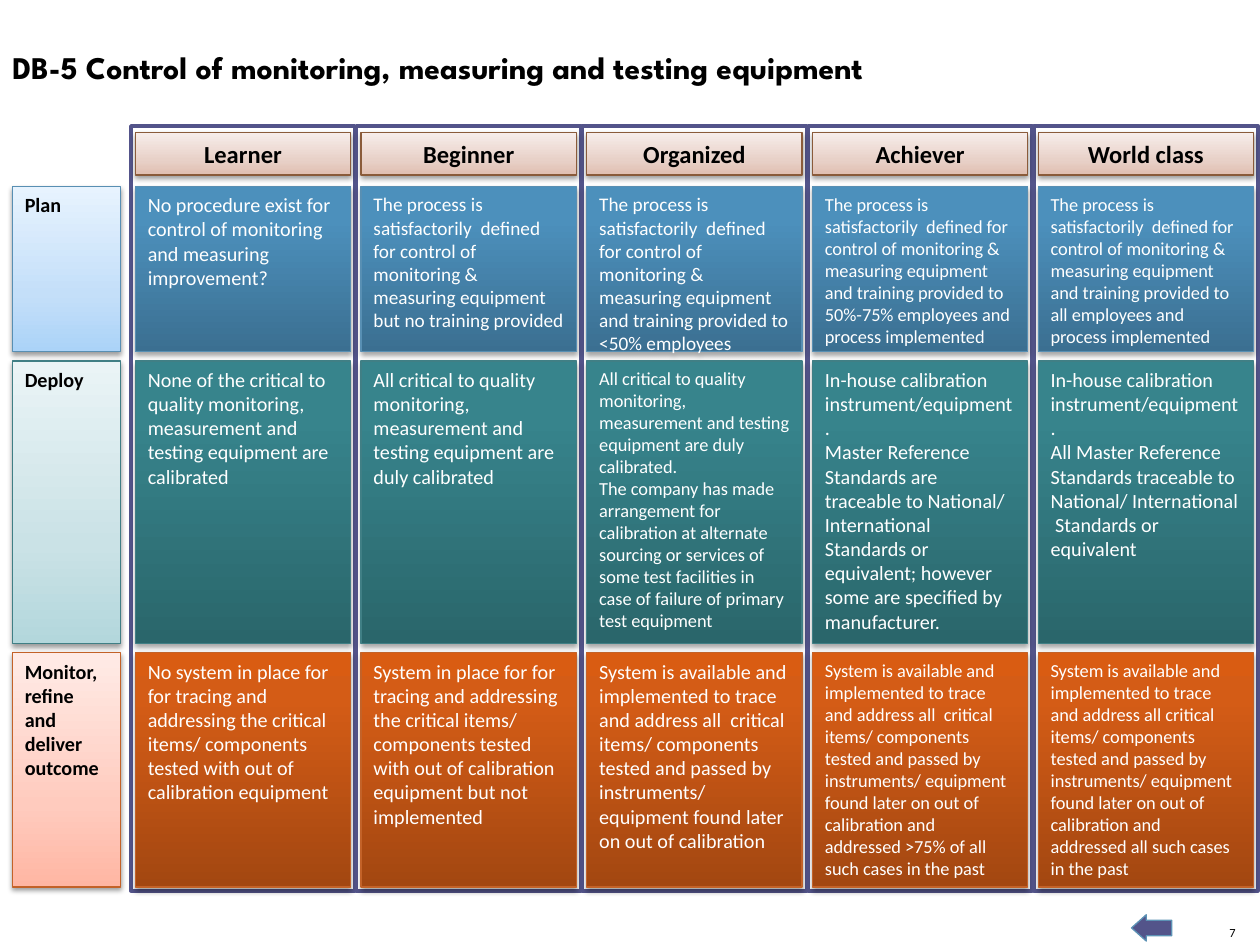
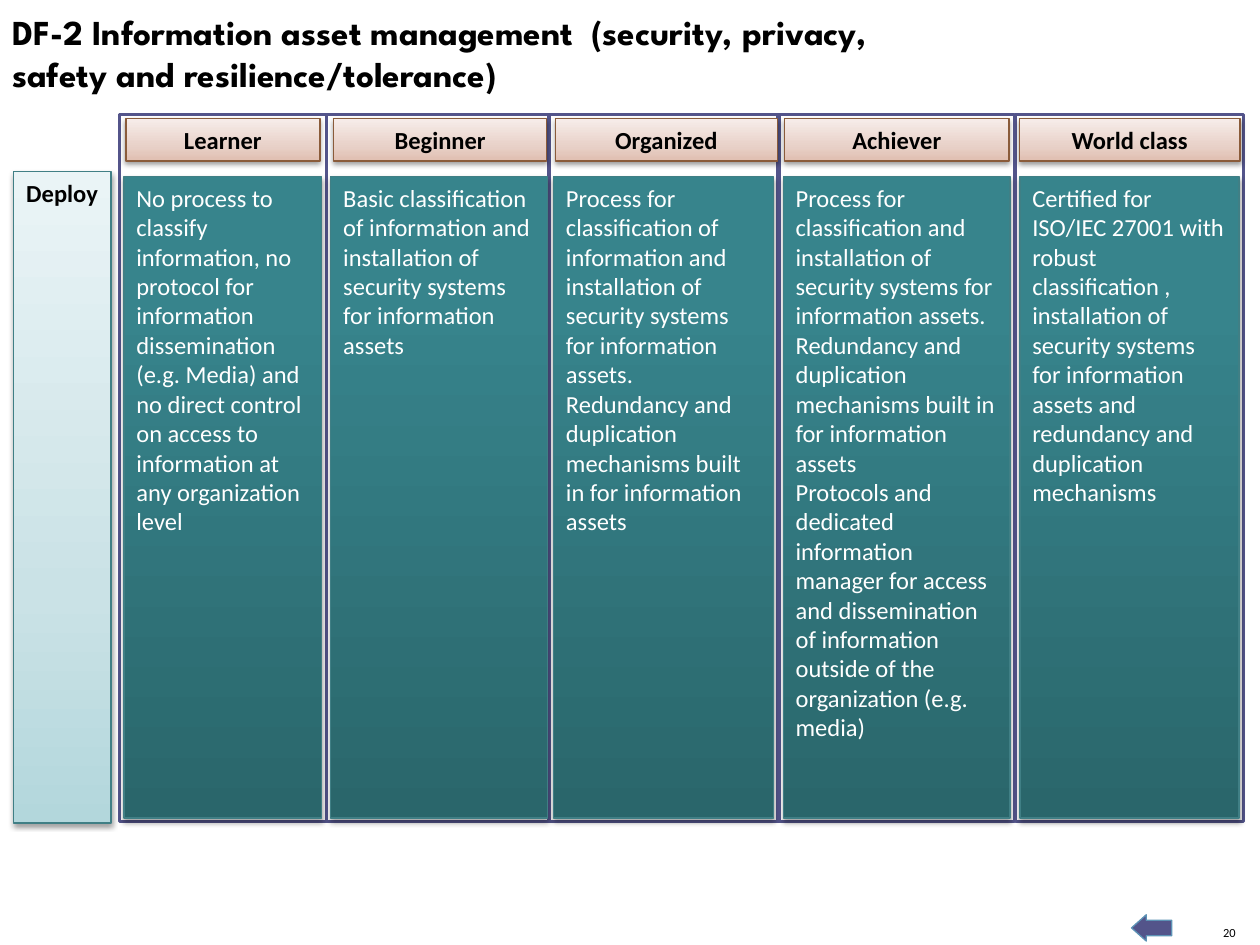
from copy import deepcopy
from dataclasses import dataclass

from lxml import etree
from pptx import Presentation
from pptx import util as u
from pptx.dml.color import RGBColor
from pptx.enum import shapes, text
from pptx.oxml.ns import qn


@dataclass(frozen=True)
class Theme:
    body_font: str = "Calibri"
    title_font: str = "League Spartan"
    dark_text: str = "000000"
    light_text: str = "FFFFFF"
    frame_fill: str = "FFFFFF"
    accent: str = "53548A"
    arrow_line: str = "5C92B5"
    header_size: float = 14
    number_size: float = 7.1
    # Gradients run from bottom to top
    header: tuple = ("E0BEB0", "E8D1C8", "F7EDEA")
    header_line: str = "8A5B3A"
    pale_stops: tuple = (0, 0.35, 1)
    deep_stops: tuple = (0, 0.8, 1)


theme = Theme()

# Stage name: pale gradient, deep gradient, outline
STAGES = {
    "Plan": (("ABD3F8", "C4DFF9", "E7F3FE"), ("3B6F91", "4C90BC", "4A91BF"), "588FB3"),
    "Deploy": (("B3D7DC", "CAE2E6", "EAF4F6"), ("2A666B", "37848C", "36868E"), "407F85"),
    "Monitor, refine and deliver outcome": (
        ("FFB6A3", "FFCBBE", "FFEBE6"), ("A34711", "D45C16", "D95C12"), "C36228"),
}
LEVELS = ["Learner", "Beginner", "Organized", "Achiever", "World class"]

DEFINED = "The process is satisfactorily  defined for control of monitoring & measuring equipment"
CALIBRATED = ("All critical to quality monitoring, measurement and testing equipment "
              "are duly calibrated")
IN_HOUSE = "In-house calibration instrument/equipment.\n"
TRACED = ("System is available and implemented to trace and address all {}critical items/ "
          "components tested and passed by instruments/ equipment found later on out of calibration")
REDUNDANCY = ("security systems for information assets. Redundancy and duplication "
              "mechanisms built in for information assets")

PITCH, FRAME_WIDTH = 4.55, 4.52
even_frames = [(2.64 + PITCH * index, FRAME_WIDTH) for index in range(len(LEVELS))]
CARD_INSET = 0.09

# Rows hold: stage, top, height, then (type size, text) for each level
SLIDES = [
    dict(
        number="7",
        title="DB-5 Control of monitoring, measuring and testing equipment",
        title_box=(0, 0.84, 21.84, 1.02), title_size=18,
        frames=even_frames, frame_top=2.54, frame_height=15.42,
        headers=[(left + CARD_INSET, width - 2 * CARD_INSET) for left, width in even_frames],
        header_top=2.67, label_left=0.25, label_width=2.18, label_offset=0, label_size=11.5,
        rows=[
            ("Plan", 3.76, 3.33, [
                (11.5, "No procedure exist for control of monitoring and measuring improvement?"),
                (11, DEFINED + " but no training provided"),
                (11, DEFINED + " and training provided to <50% employees"),
                (10.5, DEFINED + " and training provided to 50%-75% employees and process implemented"),
                (10.5, DEFINED + " and training provided to all employees and process implemented"),
            ]),
            ("Deploy", 7.28, 5.69, [
                (11.5, "None of the critical to quality monitoring, measurement and testing "
                       "equipment are calibrated"),
                (11.5, CALIBRATED),
                (10.5, CALIBRATED + ".\nThe company has made arrangement for calibration at "
                       "alternate sourcing or services of some test facilities in case of "
                       "failure of primary test equipment"),
                (11.5, IN_HOUSE + "Master Reference Standards are traceable to National/ "
                       "International Standards or equivalent; however some are specified "
                       "by manufacturer."),
                (11.5, IN_HOUSE + "All Master Reference Standards traceable to National/ "
                       "International  Standards or equivalent"),
            ]),
            ("Monitor, refine and deliver outcome", 13.16, 4.72, [
                (11.5, "No system in place for for tracing and addressing the critical items/ "
                       "components tested with out of calibration equipment"),
                (11.5, "System in place for for tracing and addressing the critical items/ "
                       "components tested with out of calibration equipment but not implemented"),
                (11.5, TRACED.format(" ")),
                (10.5, TRACED.format(" ") + " and addressed >75% of all such cases in the past"),
                (10.5, TRACED.format("") + " and addressed all such cases in the past"),
            ]),
        ],
    ),
    dict(
        number="20",
        title="DF-2 Information asset management  (security, privacy, "
              "safety and resilience/tolerance)",
        title_box=(0, 0.08, 19.46, 1.96), title_size=20,
        frames=[(2.41, 4.17), (6.58, 4.55), (11.07, 4.62), (15.7, 4.75), (20.47, 4.6)],
        frame_top=2.31, frame_height=14.25,
        headers=[(2.54, 3.91), (6.73, 4.29), (11.2, 4.47), (15.82, 4.52), (20.55, 4.45)],
        header_top=2.39, label_left=0.28, label_width=1.96, label_offset=0.1, label_size=14,
        rows=[
            ("Deploy", 3.56, 12.93, [
                (14, "No process to classify information, no  protocol for information "
                     "dissemination (e.g. Media) and no direct control on access to "
                     "information at any organization level"),
                (14, "Basic classification of information and installation of security "
                     "systems for information assets"),
                (14, "Process for classification of information and installation of " + REDUNDANCY),
                (14, "Process for classification and installation of " + REDUNDANCY
                     + "\nProtocols and dedicated information manager for access and "
                       "dissemination of information outside of the organization (e.g. media)"),
                (14, "Certified for ISO/IEC 27001 with robust classification , installation of "
                     "security systems for information assets and redundancy and duplication "
                     "mechanisms"),
            ]),
        ],
    ),
]


def write(shape, content, size, color, bold=False, font=theme.body_font,
          align=text.PP_ALIGN.LEFT, anchor=text.MSO_ANCHOR.TOP):
    frame = shape.text_frame
    frame.text = content
    frame.word_wrap = True
    frame.vertical_anchor = anchor
    for paragraph in frame.paragraphs:
        paragraph.alignment = align
        paragraph.font.name = font
        paragraph.font.size = u.Pt(size)
        paragraph.font.bold = bold
        paragraph.font.color.rgb = RGBColor.from_string(color)


def add_box(slide, bounds, fill, line, line_width=0.75, kind=shapes.MSO_SHAPE.RECTANGLE,
            positions=None, shadow=None):
    """Add an outlined shape; positions make fill a gradient, shadow is (alpha %, distance pt)."""
    shape = slide.shapes.add_shape(kind, *map(u.Cm, bounds))
    shape.line.color.rgb = RGBColor.from_string(line)
    shape.line.width = u.Pt(line_width)
    shape.shadow.inherit = False
    if positions:
        shape.fill.gradient()
        shape.fill.gradient_angle = 90
        stop_list = shape._element.spPr.find(qn("a:gradFill")).find(qn("a:gsLst"))
        stop_list.append(deepcopy(stop_list[-1]))
        for stop, color, position in zip(shape.fill.gradient_stops, fill, positions):
            stop.color.rgb = RGBColor.from_string(color)
            stop.position = position
    else:
        shape.fill.solid()
        shape.fill.fore_color.rgb = RGBColor.from_string(fill)
    if shadow:
        alpha, distance = shadow
        effects = shape._element.spPr.find(qn("a:effectLst"))
        outer = etree.SubElement(effects, qn("a:outerShdw"), blurRad=str(u.Pt(3.1)),
                                 dist=str(u.Pt(distance)), dir="5400000", rotWithShape="0")
        black = etree.SubElement(outer, qn("a:srgbClr"), val="000000")
        etree.SubElement(black, qn("a:alpha"), val=str(alpha * 1000))
    return shape


PALE_SHADOW, DEEP_SHADOW = (38, 1.6), (35, 1.8)

presentation = Presentation()
presentation.slide_width, presentation.slide_height = u.Cm(25.4), u.Cm(19.05)

for page in SLIDES:
    slide = presentation.slides.add_slide(presentation.slide_layouts[6])

    number = slide.shapes.add_textbox(*map(u.Cm, (24.61, 18.64, 0.3, 0.3)))
    write(number, page["number"], theme.number_size, theme.dark_text,
          align=text.PP_ALIGN.RIGHT, anchor=text.MSO_ANCHOR.BOTTOM)
    frame = number.text_frame
    frame.word_wrap = False
    frame.margin_left = frame.margin_top = frame.margin_right = frame.margin_bottom = 0

    arrow = add_box(slide, (22.81, 18.44, 0.81, 0.53), theme.accent, theme.arrow_line,
                    kind=shapes.MSO_SHAPE.RIGHT_ARROW)
    arrow.rotation = 180
    arrow.adjustments[0], arrow.adjustments[1] = 0.59, 0.56

    title = slide.shapes.add_textbox(*map(u.Cm, page["title_box"]))
    write(title, page["title"], page["title_size"], theme.dark_text, bold=True,
          font=theme.title_font)

    for left, width in page["frames"]:
        add_box(slide, (left, page["frame_top"], width, page["frame_height"]),
                theme.frame_fill, theme.accent, line_width=2)

    for stage, top, height, cards in page["rows"]:
        pale, deep, outline = STAGES[stage]
        offset = page["label_offset"]
        label = add_box(slide, (page["label_left"], top - offset, page["label_width"],
                                height + 2 * offset),
                        pale, outline, positions=theme.pale_stops, shadow=PALE_SHADOW)
        write(label, stage, page["label_size"], theme.dark_text, bold=True)
        for (left, width), (size, content) in zip(page["frames"], cards):
            card = add_box(slide, (left + CARD_INSET, top, width - 2 * CARD_INSET, height),
                           deep, outline, positions=theme.deep_stops, shadow=DEEP_SHADOW)
            write(card, content, size, theme.light_text)

    for level, (left, width) in zip(LEVELS, page["headers"]):
        header = add_box(slide, (left, page["header_top"], width, 0.86), theme.header,
                         theme.header_line, positions=theme.pale_stops, shadow=PALE_SHADOW)
        write(header, level, theme.header_size, theme.dark_text, bold=True,
              align=text.PP_ALIGN.CENTER, anchor=text.MSO_ANCHOR.MIDDLE)

presentation.save("out.pptx")
